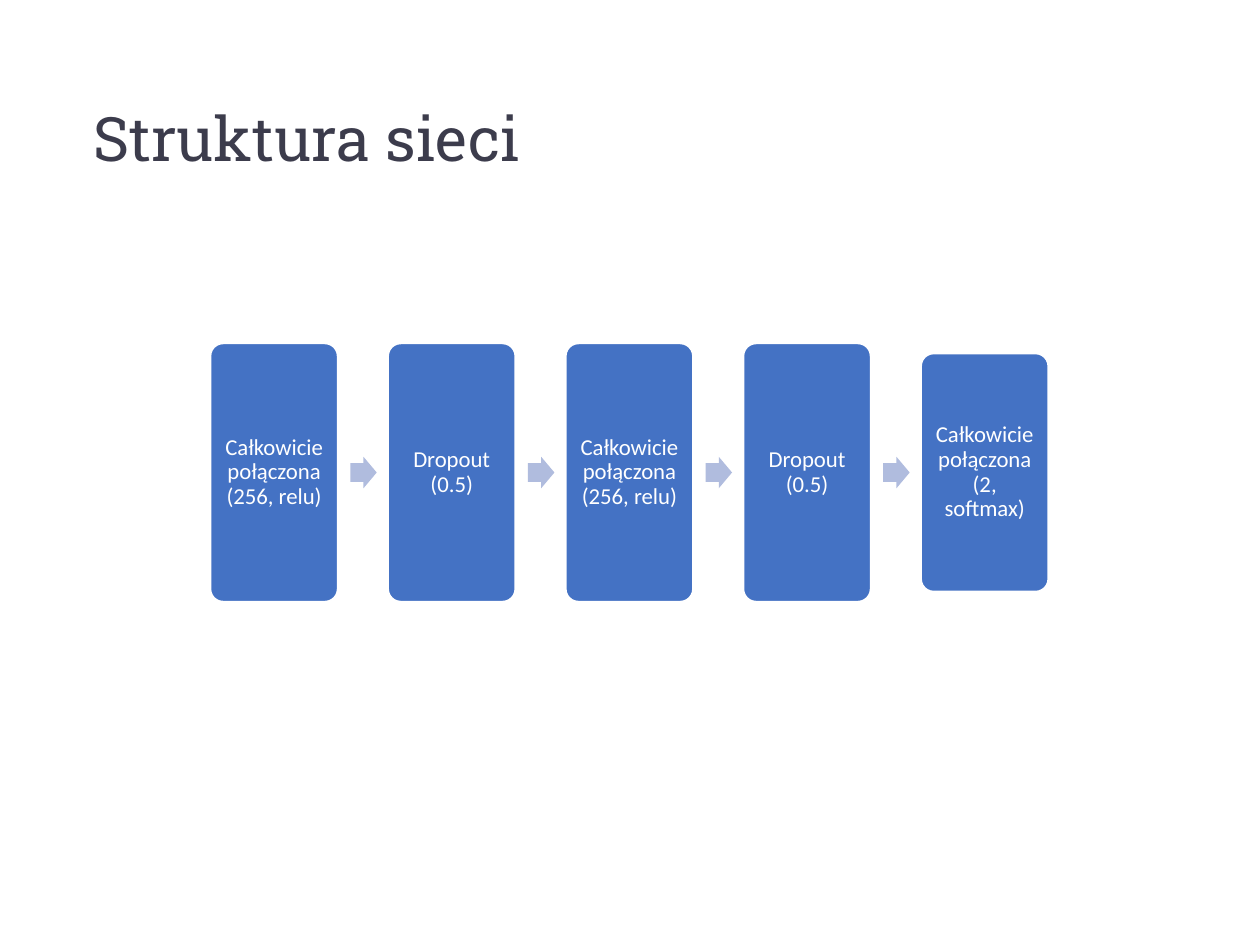
from pptx import Presentation
from pptx.dml.color import RGBColor
from pptx.enum.shapes import MSO_SHAPE
from pptx.enum.text import MSO_ANCHOR, PP_ALIGN
from pptx.util import Inches, Pt

ROUNDED = MSO_SHAPE.ROUNDED_RECTANGLE
RIGHT_ARROW = MSO_SHAPE.RIGHT_ARROW
MIDDLE = MSO_ANCHOR.MIDDLE
LEFT, CENTER = PP_ALIGN.LEFT, PP_ALIGN.CENTER

COLORS = {
    "title": "3C3C4C",
    "layer": "4472C4",
    "arrow": "B0BCDE",
    "white": "FFFFFF",
}

LAYERS = [
    ("Całkowicie połączona (256, relu)", 2.05),
    ("Dropout (0.5)", 2.05),
    ("Całkowicie połączona (256, relu)", 2.05),
    ("Dropout (0.5)", 2.05),
    ("Całkowicie połączona (2, softmax)", 1.89),
]
FIRST_LEFT, PITCH, CENTER_LINE = 1.67, 1.41, 3.75
LAYER_WIDTH = 1.01
ARROW_WIDTH, ARROW_HEIGHT, ARROW_OFFSET = 0.21, 0.25, 1.11


class NetworkSlide:
    def __init__(self, slide):
        self.slide = slide

    def color(self, name):
        return RGBColor.from_string(COLORS[name])

    def set_text(self, shape, text, font, size, color, alignment, insets):
        """Fill a shape with one paragraph; insets are (horizontal, vertical)."""
        frame = shape.text_frame
        frame.word_wrap = True
        frame.vertical_anchor = MIDDLE
        frame.margin_left = frame.margin_right = Inches(insets[0])
        frame.margin_top = frame.margin_bottom = Inches(insets[1])
        paragraph = frame.paragraphs[0]
        paragraph.text = text
        paragraph.alignment = alignment
        paragraph.line_spacing = 0.9
        paragraph.font.name = font
        paragraph.font.size = Pt(size)
        paragraph.font.color.rgb = self.color(color)

    def title(self, text):
        box = self.slide.shapes.add_textbox(
            Inches(0.69), Inches(0.4), Inches(8.09), Inches(1.45))
        self.set_text(box, text, "Roboto Slab", 35, "title", LEFT, (0.05, 0.03))

    def block(self, kind, left, width, height, fill, adjustments):
        """Add a filled shape centred vertically on the diagram's axis."""
        shape = self.slide.shapes.add_shape(
            kind, Inches(left), Inches(CENTER_LINE - height / 2),
            Inches(width), Inches(height))
        for index, value in enumerate(adjustments):
            shape.adjustments[index] = value
        shape.shadow.inherit = False
        shape.fill.solid()
        shape.fill.fore_color.rgb = self.color(fill)
        shape.line.fill.background()
        return shape

    def layer(self, left, height, text):
        shape = self.block(ROUNDED, left, LAYER_WIDTH, height, "layer", [0.1])
        shape.line.color.rgb = self.color("white")
        shape.line.width = Pt(1)
        self.set_text(shape, text, "Calibri", 13, "white", CENTER, (0.05, 0.05))

    def arrow(self, left):
        self.block(RIGHT_ARROW, left, ARROW_WIDTH, ARROW_HEIGHT, "arrow", [0.6, 0.5])


def main():
    presentation = Presentation()
    presentation.slide_width = Inches(10)
    presentation.slide_height = Inches(7.5)
    network = NetworkSlide(
        presentation.slides.add_slide(presentation.slide_layouts[6]))

    network.title("Struktura sieci")
    for index, (text, height) in enumerate(LAYERS):
        left = FIRST_LEFT + index * PITCH
        network.layer(left, height, text)
        if index < len(LAYERS) - 1:
            network.arrow(left + ARROW_OFFSET)

    presentation.save("out.pptx")


if __name__ == "__main__":
    main()
